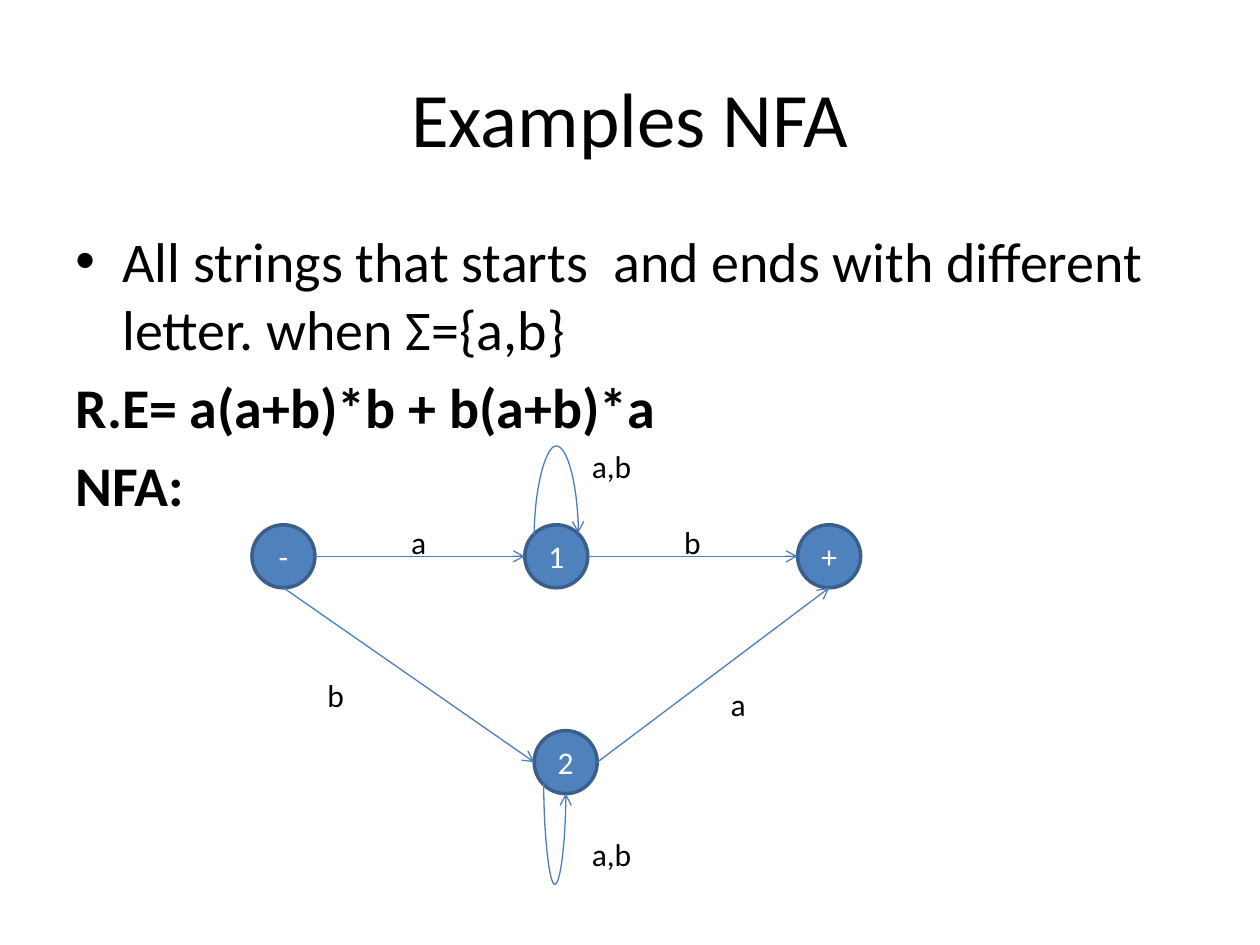
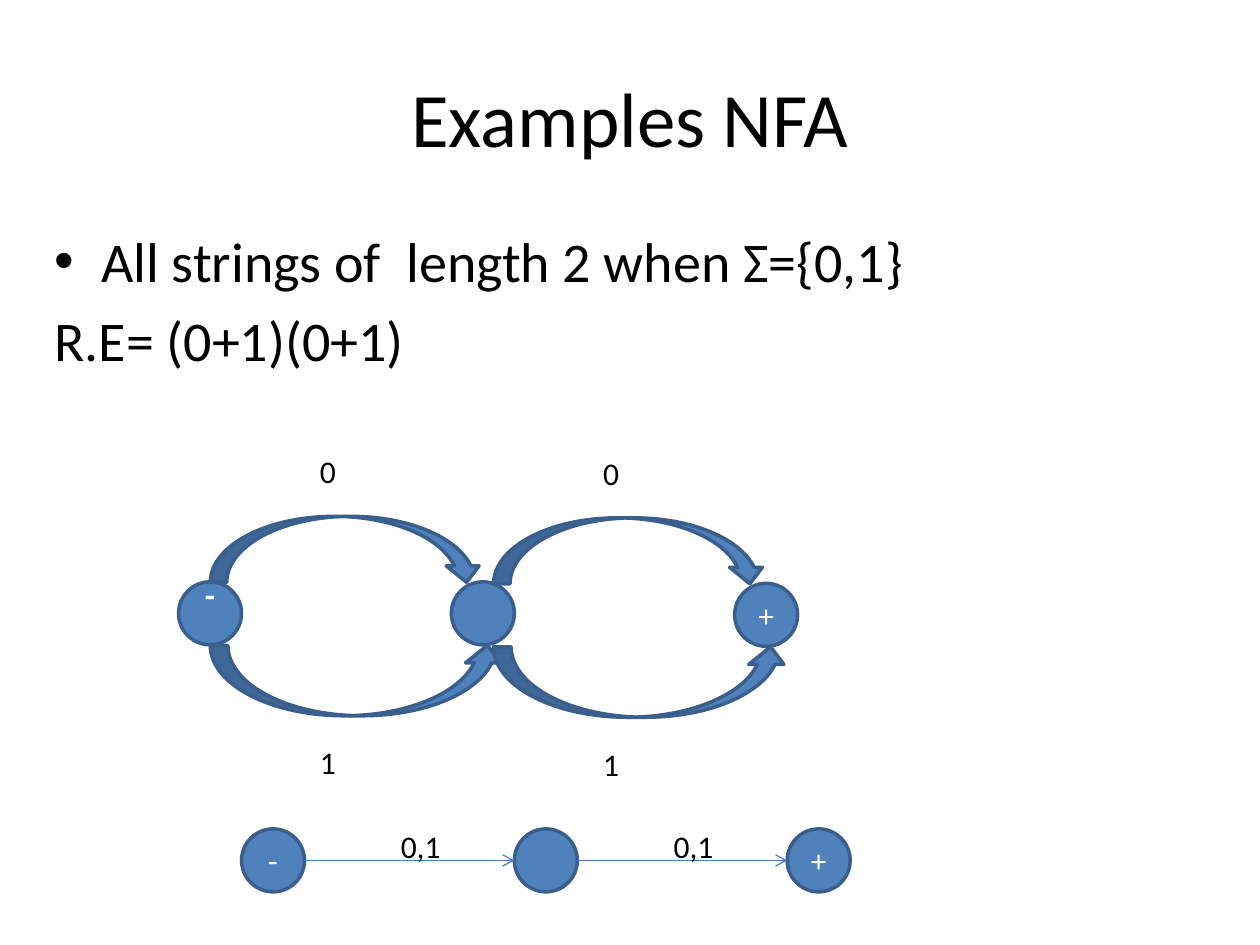
from pptx import Presentation
from pptx.dml.color import RGBColor
from pptx.enum.shapes import MSO_CONNECTOR, MSO_SHAPE
from pptx.enum.text import MSO_ANCHOR, PP_ALIGN
from pptx.oxml.ns import qn
from pptx.util import Cm, Pt
from lxml import etree

OVAL = MSO_SHAPE.OVAL
DOWN, UP = MSO_SHAPE.CURVED_DOWN_ARROW, MSO_SHAPE.CURVED_UP_ARROW
LINE, CURVE = MSO_CONNECTOR.STRAIGHT, MSO_CONNECTOR.CURVE
MID, CENTER, LEFT = MSO_ANCHOR.MIDDLE, PP_ALIGN.CENTER, PP_ALIGN.LEFT

# Shared look, lengths in cm
FONT, BLACK, WHITE = "Calibri", "000000", "FFFFFF"
BLUE, RIM, EDGE = "4F81BD", "3A5F8C", "4B7EBC"
SIZE = 1.27          # state diameter
STEP = 5.5           # distance between states in a row
INSET = 0.19         # corner of a circle, from its box
TITLE = "Examples NFA"

# Content: (text, bullet, bold)
ENDS = [
    ("All strings that starts  and ends with different letter. "
     "when Σ={a,b}", True, False),
    ("R.E= a(a+b)*b + b(a+b)*a", False, True),
    ("NFA:", False, True),
]
PAIRS = [
    ("All strings of  length 2 when Σ={0,1}", True, False),
    ("R.E= (0+1)(0+1)", False, False),
]
# Labels beside the lower edges and loops: (text, x, y)
NOTES = [("a,b", 11.68, 8.89), ("b", 6.35, 13.51),
         ("a", 14.48, 13.69), ("a,b", 11.68, 16.71)]
# States of the two-way automaton: (text, x, y)
STATES = [("-", 3.6, 11.73), ("", 9.1, 11.73), ("+", 14.81, 11.76)]
# Arrow kind, digit, dx, top, width, height, top of label
ARCS = [(DOWN, "0", 10.41, 5.5, 1.33, 8.99),
        (UP, "1", 13.01, 5.94, 1.42, 14.86)]


def rgb(code):
    return RGBColor.from_string(code)


def style(par, size, color, align=LEFT, bold=False):
    par.alignment = align
    font = par.font
    font.name, font.size, font.bold = FONT, Pt(size), bold
    font.color.rgb = rgb(color)


def start(lines, left):
    """Add a slide with its title and body text."""
    slide = deck.slides.add_slide(deck.slide_layouts[5])
    head = slide.shapes.title
    head.left, head.top = Cm(1.27), Cm(0.76)
    head.width, head.height = Cm(22.86), Cm(3.18)
    head.text_frame.text = TITLE
    head.text_frame.vertical_anchor = MID
    style(head.text_frame.paragraphs[0], 44, BLACK, CENTER)

    box = slide.shapes.add_textbox(
        Cm(left), Cm(4.45), Cm(24.13 - left), Cm(13.97))
    frame = box.text_frame
    frame.word_wrap = True
    for i, (text, dot, bold) in enumerate(lines):
        par = frame.add_paragraph() if i else frame.paragraphs[0]
        par.text = text
        style(par, 32, BLACK, bold=bold)
        par.space_before = Pt(6.4)
        if dot:
            props = par._p.get_or_add_pPr()
            props.set("marL", str(Cm(0.95)))
            props.set("indent", str(-Cm(0.95)))
            etree.SubElement(props, qn("a:buFont")).set("typeface", "Arial")
            etree.SubElement(props, qn("a:buChar")).set("char", "•")
    return slide


def solid(slide, kind, x, y, w, h):
    shape = slide.shapes.add_shape(kind, Cm(x), Cm(y), Cm(w), Cm(h))
    shape.shadow.inherit = False
    shape.fill.solid()
    shape.fill.fore_color.rgb = rgb(BLUE)
    shape.line.color.rgb = rgb(RIM)
    shape.line.width = Pt(2)
    return shape


def state(slide, text, x, y):
    shape = solid(slide, OVAL, x, y, SIZE, SIZE)
    if text:
        frame = shape.text_frame
        frame.text = text
        frame.vertical_anchor = MID
        style(frame.paragraphs[0], 18, WHITE, CENTER)
    return shape


def label(slide, text, x, y):
    box = slide.shapes.add_textbox(Cm(x), Cm(y), Cm(1.57), Cm(1.02))
    box.text_frame.word_wrap = True
    box.text_frame.text = text
    style(box.text_frame.paragraphs[0], 18, BLACK)


def edge(slide, x1, y1, x2, y2, kind=LINE):
    link = slide.shapes.add_connector(kind, Cm(x1), Cm(y1), Cm(x2), Cm(y2))
    link.line.color.rgb = rgb(EDGE)
    link.line.width = Pt(0.75)
    tail = etree.SubElement(link.line._get_or_add_ln(), qn("a:tailEnd"))
    tail.set("type", "arrow")
    etree.SubElement(link._element.spPr, qn("a:effectLst"))
    return link


def loop(slide, x1, y1, x2, y2, peak):
    """Curve from one point of a state to another by way of peak."""
    w, h = abs(y2 - y1), abs(x2 - x1)
    x, y = (x1 + x2 - w) / 2, (y1 + y2 - h) / 2
    props = edge(slide, x, y, x + w, y + h, CURVE)._element.spPr
    form = props.find(qn("a:xfrm"))
    rise = peak < y1
    form.set("rot", str((90 if rise else 270) * 60000))
    form.set("flipH", "1")
    if rise:
        form.set("flipV", "1")
    bend = round((peak - y1) / (y2 - y1) * 100000)
    guide = etree.SubElement(props.find(".//" + qn("a:avLst")), qn("a:gd"))
    guide.set("name", "adj1")
    guide.set("fmla", f"val {bend}")


def row(slide, x, y, names, marks):
    """States side by side, joined by labelled arrows."""
    for i, name in enumerate(names):
        state(slide, name, x + i * STEP, y)
    for i, mark in enumerate(marks):
        left, mid = x + i * STEP, y + SIZE / 2
        edge(slide, left + SIZE, mid, left + STEP, mid)
        label(slide, mark, left + 2.96, y - 0.17)


deck = Presentation()
deck.slide_width, deck.slide_height = Cm(25.4), Cm(19.05)

# Slide 1: different first and last letter
slide = start(ENDS, 1.27)
x, y = 5.08, 10.58
row(slide, x, y, ["-", "1", "+"], ["a", "b"])
low_x, low_y = 10.77, 14.73
state(slide, "2", low_x, low_y)
half = SIZE / 2
edge(slide, x + half, y + SIZE, low_x, low_y + half)
edge(slide, low_x + SIZE, low_y + half, x + 2 * STEP + half, y + SIZE)
one = x + STEP
loop(slide, one + INSET, y + INSET + 0.02,
     one + SIZE - INSET, y + INSET - 0.02, 8.99)
loop(slide, low_x + INSET, low_y + SIZE - INSET,
     low_x + half, low_y + SIZE, 17.83)
for note in NOTES:
    label(slide, *note)

# Slide 2: strings of length two
slide = start(PAIRS, 0.84)
first, *rest = [state(slide, *item) for item in STATES]
first.text_frame.margin_top = 0
first.text_frame.margin_bottom = Cm(0.79)
style(first.text_frame.paragraphs[0], 19, WHITE, CENTER, True)
for i in range(2):
    x, drop = 4.24 + i * 5.71, i * 0.03
    for kind, digit, top, w, h, high in ARCS:
        solid(slide, kind, x, top + drop, w, h)
        label(slide, digit, x + 1.96, high + drop)
row(slide, 4.87, 16.71, ["-", "", "+"], ["0,1", "0,1"])

deck.save("out.pptx")
